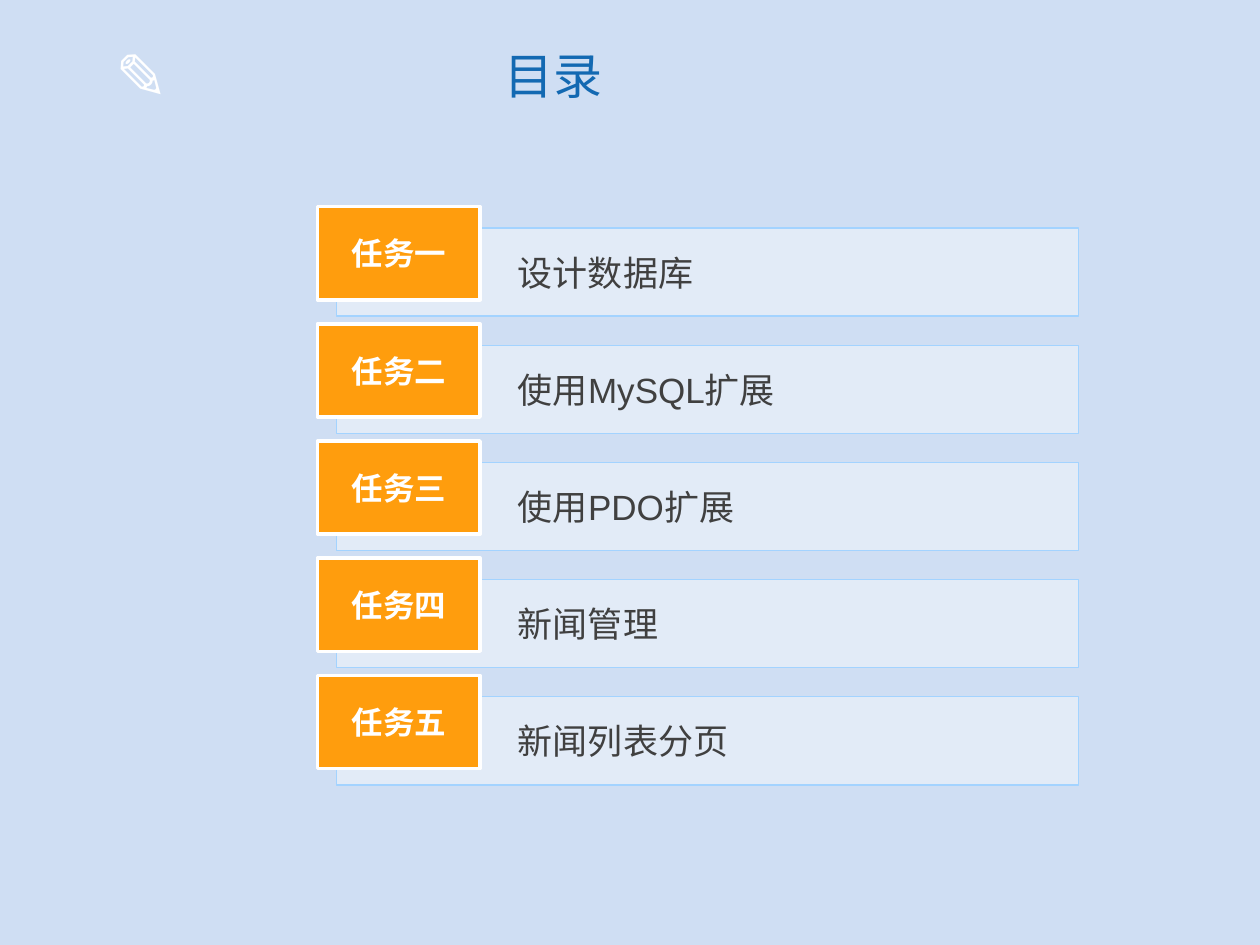
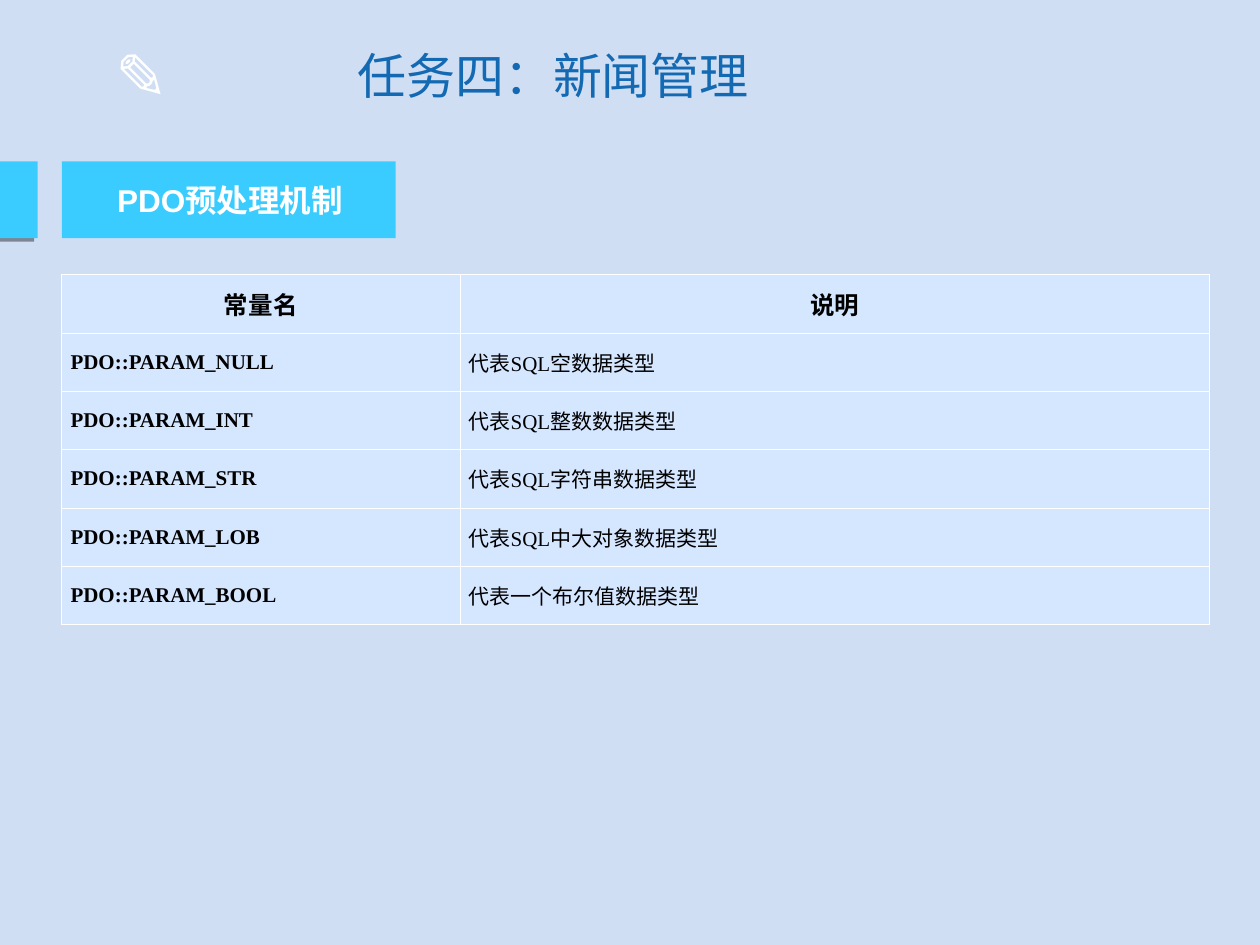
from lxml import etree
from pptx import Presentation
from pptx.dml.color import RGBColor
from pptx.enum.shapes import MSO_SHAPE
from pptx.enum.text import MSO_ANCHOR, PP_ALIGN
from pptx.oxml import parse_xml
from pptx.oxml.ns import nsdecls, qn
from pptx.util import Inches, Pt

BACKGROUND = RGBColor(0xCF, 0xDE, 0xF3)
TITLE_BLUE = RGBColor(0x13, 0x69, 0xB2)
WHITE = RGBColor(0xFF, 0xFF, 0xFF)
BLACK = RGBColor(0x00, 0x00, 0x00)
ORANGE = RGBColor(0xFF, 0x9D, 0x0D)
BAR_LINE = RGBColor(0xA3, 0xD3, 0xFF)
DARK_GREY = RGBColor(0x40, 0x40, 0x40)
BANNER_BLUE = RGBColor(0x3B, 0xCC, 0xFF)
CELL_BLUE = RGBColor(0xD5, 0xE6, 0xFF)

CJK_FONT = "Noto Sans CJK SC"
TITLE_FORMAT = {"size": Pt(28), "name": CJK_FONT}
PENCIL_FORMAT = {"size": Pt(36), "name": CJK_FONT, "bold": True}
LABEL_FORMAT = {"size": Pt(18), "name": "Arial", "bold": True}
TASK_FORMAT = {"size": Pt(20), "name": "Arial", "bold": False}
HEADER_FORMAT = {"size": Pt(14), "name": "Times New Roman", "bold": True}
NAME_FORMAT = {**HEADER_FORMAT, "size": Pt(12)}
MEANING_FORMAT = {**NAME_FORMAT, "bold": False}

TASKS = [
    ("任务一", "设计数据库"),
    ("任务二", "使用MySQL扩展"),
    ("任务三", "使用PDO扩展"),
    ("任务四", "新闻管理"),
    ("任务五", "新闻列表分页"),
]
CONSTANTS = [
    ("常量名", "说明"),
    ("PDO::PARAM_NULL", "代表SQL空数据类型"),
    ("PDO::PARAM_INT", "代表SQL整数数据类型"),
    ("PDO::PARAM_STR", "代表SQL字符串数据类型"),
    ("PDO::PARAM_LOB", "代表SQL中大对象数据类型"),
    ("PDO::PARAM_BOOL", "代表一个布尔值数据类型"),
]


def write_text(text_frame, text, text_format, color, align=PP_ALIGN.LEFT):
    paragraph = text_frame.paragraphs[0]
    paragraph.alignment = align
    run = paragraph.add_run()
    run.text = text
    for attribute, value in text_format.items():
        setattr(run.font, attribute, value)
    run.font.color.rgb = color
    east_asian = etree.SubElement(run.font._element, qn("a:ea"))
    east_asian.set("typeface", CJK_FONT)


def add_text(slide, box, text, text_format, color, align=PP_ALIGN.LEFT, wrap=True):
    text_frame = slide.shapes.add_textbox(*map(Inches, box)).text_frame
    text_frame.word_wrap = wrap
    text_frame.vertical_anchor = MSO_ANCHOR.MIDDLE
    write_text(text_frame, text, text_format, color, align)


def add_rectangle(slide, box, fill, line=None, line_width=0.75):
    shape = slide.shapes.add_shape(MSO_SHAPE.RECTANGLE, *map(Inches, box))
    shape.shadow.inherit = False
    shape.fill.solid()
    shape.fill.fore_color.rgb = fill
    if line is None:
        shape.line.fill.background()
    else:
        shape.line.color.rgb = line
        shape.line.width = Pt(line_width)
    shape.text_frame.vertical_anchor = MSO_ANCHOR.MIDDLE
    return shape


def set_opacity(shape, percent):
    color = shape.fill._xPr.find(qn("a:solidFill"))[0]
    etree.SubElement(color, qn("a:alpha")).set("val", str(percent * 1000))


def add_offset_shadow(shape):
    """Give the shape a hard shadow towards the lower left."""
    effects = shape._element.spPr.find(qn("a:effectLst"))
    effects.append(parse_xml(
        f'<a:outerShdw {nsdecls("a")} blurRad="0" dist="{Pt(3)}" dir="{135 * 60000}"'
        ' algn="ctr" rotWithShape="0"><a:srgbClr val="000000">'
        '<a:alpha val="40000"/></a:srgbClr></a:outerShdw>'))


def add_slide(presentation, title):
    slide = presentation.slides.add_slide(presentation.slide_layouts[6])
    slide.background.fill.solid()
    slide.background.fill.fore_color.rgb = BACKGROUND
    add_text(slide, (0.82, 0.24, 0.73, 0.7), "✎", PENCIL_FORMAT, WHITE, wrap=False)
    add_text(slide, (1.81, 0.17, 5.16, 0.85), title, TITLE_FORMAT, TITLE_BLUE,
             PP_ALIGN.CENTER)
    return slide


def add_task(slide, box, number, name):
    """Draw a translucent bar with a badge over its upper left corner."""
    left, top, width, height = box
    bar = add_rectangle(slide, box, WHITE, BAR_LINE)
    set_opacity(bar, 40)
    bar.text_frame.margin_left = Inches(1.44)
    write_text(bar.text_frame, name, TASK_FORMAT, DARK_GREY)
    badge = add_rectangle(slide, (left - 0.15, top - 0.17, 1.29, height + 0.04),
                          ORANGE, WHITE, 2)
    write_text(badge.text_frame, number, LABEL_FORMAT, WHITE, PP_ALIGN.CENTER)


def add_task_list(slide, box, pitch=0.93):
    left, top, width, height = box
    for index, (number, name) in enumerate(TASKS):
        add_task(slide, (left, top + index * pitch, width, height), number, name)


def add_section_banner(slide, box, text):
    left, top, width, height = box
    add_offset_shadow(add_rectangle(slide, (-0.04, top, 0.34, height), BANNER_BLUE))
    banner = add_rectangle(slide, box, BANNER_BLUE)
    banner.text_frame.margin_left = Inches(0.44)
    write_text(banner.text_frame, text, LABEL_FORMAT, WHITE)


def style_cell(cell):
    for side in ("lnL", "lnR", "lnT", "lnB"):
        cell._tc.get_or_add_tcPr().append(parse_xml(
            f'<a:{side} {nsdecls("a")} w="{Pt(0.45)}"><a:solidFill>'
            f'<a:srgbClr val="{WHITE}"/></a:solidFill></a:{side}>'))
    cell.fill.solid()
    cell.fill.fore_color.rgb = CELL_BLUE
    cell.vertical_anchor = MSO_ANCHOR.MIDDLE
    cell.margin_left = cell.margin_right = Inches(0.07)


def add_constants_table(slide, box, column_widths):
    table = slide.shapes.add_table(
        len(CONSTANTS), len(column_widths), *map(Inches, box)).table
    table.first_row = table.horz_banding = False
    for column, width in zip(table.columns, column_widths):
        column.width = Inches(width)
    for row_index, texts in enumerate(CONSTANTS):
        is_header = row_index == 0
        formats = [HEADER_FORMAT] * 2 if is_header else [NAME_FORMAT, MEANING_FORMAT]
        align = PP_ALIGN.CENTER if is_header else PP_ALIGN.LEFT
        for cell, text, text_format in zip(table.rows[row_index].cells, texts, formats):
            style_cell(cell)
            write_text(cell.text_frame, text, text_format, BLACK, align)


def build_contents_slide(presentation):
    slide = add_slide(presentation, "目录")
    add_task_list(slide, (2.67, 1.81, 5.89, 0.7))


def build_constants_slide(presentation):
    slide = add_slide(presentation, "任务四：新闻管理")
    add_section_banner(slide, (0.49, 1.28, 2.65, 0.61), "PDO预处理机制")
    add_constants_table(slide, (0.49, 2.18, 9.11, 2.78), (3.16, 5.95))


def main():
    presentation = Presentation()
    presentation.slide_width = Inches(10)
    presentation.slide_height = Inches(7.5)
    build_contents_slide(presentation)
    build_constants_slide(presentation)
    presentation.save("out.pptx")


if __name__ == "__main__":
    main()
